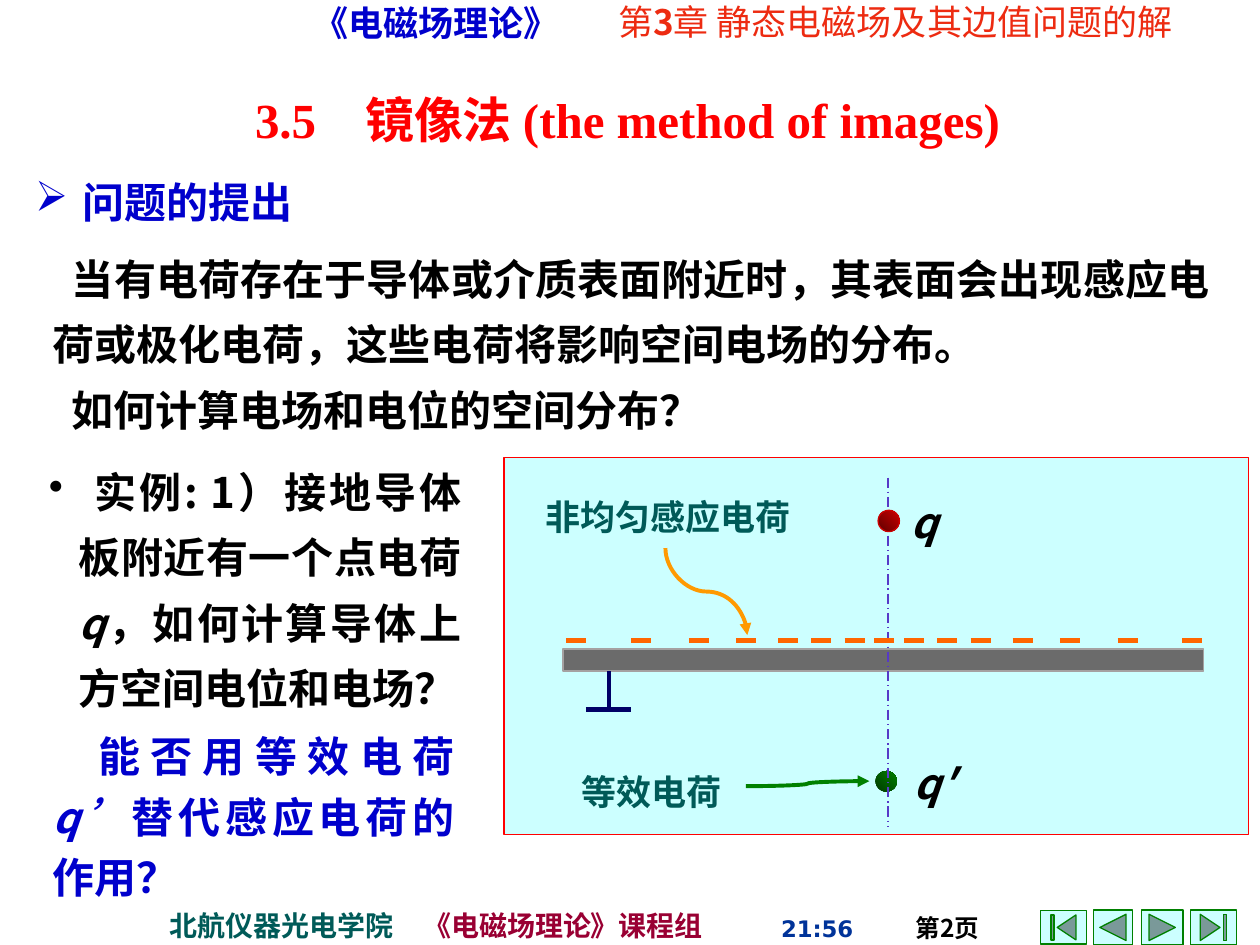
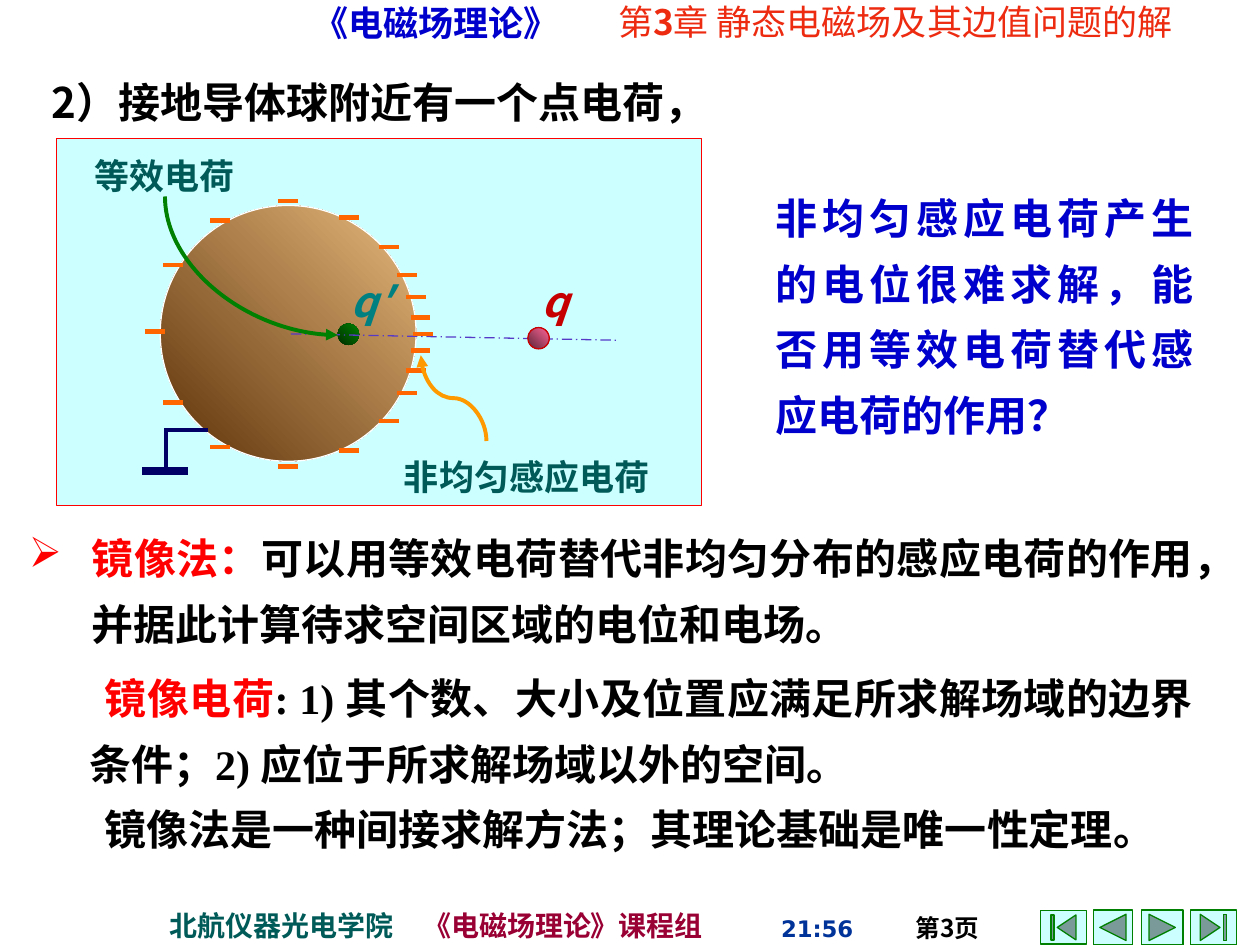
import pptx
import pptx.dml.color
import pptx.enum.dml
import pptx.enum.shapes
import pptx.enum.text
import pptx.oxml.ns
import pptx.util
from lxml import etree

Pt = pptx.util.Pt
Shape = pptx.enum.shapes.MSO_SHAPE
Connector = pptx.enum.shapes.MSO_CONNECTOR
Align = pptx.enum.text.PP_ALIGN
qn = pptx.oxml.ns.qn
rgb = pptx.dml.color.RGBColor.from_string


class Theme:
    black, red, blue, teal = "000000", "FF0000", "0000CC", "005A58"
    chapter, clock, team = "ED2B11", "003399", "990033"
    panel, green, charge, ground = "CCFFFF", "008000", "FF6600", "000066"
    orange, axis, plate, plate_edge = "FF9900", "5739C7", "6B6B6B", "A5A1A1"
    dark_red, white, image_label, charge_label = "CC0000", "FFFFFF", "008080", "C60000"
    sans, serif, header, digits = "Noto Sans CJK SC", "Times New Roman", "Arial", "DejaVu Sans"
    title, body, label, footer, page, time = 28, 24, 20, 16, 14, 13


def add_text(slide, box, paragraphs, size=Theme.body, color=Theme.black, font=Theme.sans,
             align=Align.JUSTIFY, spacing=1.3, margin_top=3.6, left=0, first=0, bullet=None):
    """Each paragraph is a list of (text, changes), where changes override the run format."""
    frame = slide.shapes.add_textbox(*map(Pt, box)).text_frame
    frame.word_wrap = True
    frame.margin_top = Pt(margin_top)
    for number, runs in enumerate(paragraphs):
        paragraph = frame.add_paragraph() if number else frame.paragraphs[0]
        paragraph.alignment = align
        paragraph.line_spacing = spacing
        properties = paragraph._p.get_or_add_pPr()
        properties.set("marL", str(Pt(left)))
        properties.set("indent", str(Pt(first)))
        if bullet:
            etree.SubElement(properties, qn("a:buChar")).set("char", bullet)
        for text, changes in runs:
            run = paragraph.add_run()
            run.text = text
            run.font.size = Pt(size)
            run.font.bold = changes.get("bold", True)
            run.font.italic = changes.get("italic", False)
            run.font.color.rgb = rgb(changes.get("color", color))
            run.font.name = font
            east_asian = etree.SubElement(run._r.get_or_add_rPr(), qn("a:ea"))
            east_asian.set("typeface", Theme.sans)


def add_shape(slide, kind, box, fill, line=None):
    """A pair of colours as fill gives a gradient rising to the upper right."""
    shape = slide.shapes.add_shape(kind, *map(Pt, box))
    shape.shadow.inherit = False
    if isinstance(fill, tuple):
        shape.fill.gradient()
        shape.fill.gradient_angle = 45
        for stop, color in zip(shape.fill.gradient_stops, fill):
            stop.color.rgb = rgb(color)
    else:
        shape.fill.solid()
        shape.fill.fore_color.rgb = rgb(fill)
    if line:
        shape.line.color.rgb = rgb(line)
        shape.line.width = Pt(0.75)
    else:
        shape.line.fill.background()


presentation = pptx.Presentation()
presentation.slide_width, presentation.slide_height = Pt(720), Pt(540)
blank = presentation.slide_layouts[6]
plane_slide, sphere_slide = slides = [presentation.slides.add_slide(blank) for _ in range(2)]

# Header, footer and navigation buttons
buttons = [
    (Shape.ACTION_BUTTON_BEGINNING, (594.7, 520.5, 26, 19)),
    (Shape.ACTION_BUTTON_BACK_OR_PREVIOUS, (625, 520, 22, 20)),
    (Shape.ACTION_BUTTON_FORWARD_OR_NEXT, (652.3, 520, 23.7, 20)),
    (Shape.ACTION_BUTTON_END, (680.4, 520, 26, 20)),
]
for page_number, slide in enumerate(slides, start=2):
    for kind, box in buttons:
        add_shape(slide, kind, box, Theme.panel, Theme.green)
    add_text(slide, (172, 0, 169, 28), [[("《电磁场理论》", {})]], Theme.label, Theme.blue,
             Theme.header, Align.LEFT, 1, margin_top=0.7)
    add_text(slide, (333.4, 5, 356.4, 22.3),
             [[("第", {"bold": False}), ("3", {}), ("章 静态电磁场及其边值问题的解", {"bold": False})]],
             Theme.label, Theme.chapter, align=Align.CENTER, spacing=0.6)
    add_text(slide, (90, 518.4, 145, 21), [[("北航仪器光电学院", {})]], Theme.footer, Theme.teal,
             Theme.header, Align.LEFT, 1, margin_top=0.7)
    add_text(slide, (235, 518.4, 185, 21), [[("《电磁场理论》课程组", {})]], Theme.footer, Theme.team,
             Theme.header, Align.LEFT, 1, margin_top=0.7)
    add_text(slide, (439.2, 519, 62, 23), [[("21:56", {})]], Theme.time, Theme.clock,
             Theme.digits, Align.LEFT, 1)
    add_text(slide, (505.4, 518.4, 61.2, 23.8), [[(f"第{page_number}页", {})]], Theme.page,
             align=Align.RIGHT, spacing=1)

# Panels, conductors and image charges
add_shape(plane_slide, Shape.RECTANGLE, (288, 261.4, 425.5, 215.3), Theme.panel, Theme.red)
add_shape(plane_slide, Shape.RECTANGLE, (321.8, 370.8, 365.8, 12.6), Theme.plate, Theme.plate_edge)
add_shape(plane_slide, Shape.OVAL, (500.4, 440.6, 12.2, 11.8), ("003B00", Theme.green))
add_shape(sphere_slide, Shape.RECTANGLE, (32.4, 79.2, 368.6, 209.5), Theme.panel, Theme.red)
add_shape(sphere_slide, Shape.OVAL, (91.6, 117.4, 146.2, 146.2), ("5E3108", "E5B97C"), Theme.white)
add_shape(sphere_slide, Shape.OVAL, (193, 185, 12.2, 12.2), ("002E00", Theme.green))

# Straight lines: slide, start, end, colour, width
lines = [
    (plane_slide, (347.8, 383.4), (347.8, 405.4), Theme.ground, 2.25),
    (plane_slide, (334.8, 405.4), (360.7, 405.4), Theme.ground, 3),
    (plane_slide, (507.4, 272.9), (507.4, 472.3), Theme.axis, 0.75),
    (sphere_slide, (118.8, 245.5), (93.6, 245.5), Theme.ground, 2.25),
    (sphere_slide, (95, 244.8), (95, 270), Theme.ground, 2.25),
    (sphere_slide, (81.4, 269.3), (107.3, 269.3), Theme.ground, 4.5),
    (sphere_slide, (166.3, 190.8), (352, 194.4), Theme.axis, 0.75),
]

# Induced charges, mirrored about the axis of each problem
mark_length = 11.4
plane_axis, plane_y, sphere_axis = 499.7, 366, 190.8
plane_offsets = [17, 36, 55, 79, 106, 139, 176]
marks = [(plane_slide, plane_axis + side * offset, plane_y)
         for side in (-1, 1) for offset in plane_offsets]
marks.append((plane_slide, plane_axis, plane_y))
sphere_offsets = [(234.6, 9.4), (232.2, 20.9), (226.8, 33.8), (216.7, 49.7),
                  (194, 66.6), (158.8, 75.8), (120.2, 64.8), (93.2, 39.3)]
marks += [(sphere_slide, x, sphere_axis + side * offset)
          for side in (-1, 1) for x, offset in sphere_offsets]
marks += [(sphere_slide, 236.2, sphere_axis), (sphere_slide, 82.8, 189.4)]
lines += [(slide, (x, y), (x + mark_length, y), Theme.charge, 2.5) for slide, x, y in marks]

connectors = []
for slide, start, end, color, width in lines:
    connector = slide.shapes.add_connector(Connector.STRAIGHT, *map(Pt, start + end))
    if color == Theme.axis:
        connector.line.dash_style = pptx.enum.dml.MSO_LINE.LONG_DASH_DOT
    connectors.append((connector, color, width))

# Curved arrows; a quarter turn makes a curve leave its start vertically
curves = [
    (plane_slide, (380.2, 313.2), (427, 362.9), Theme.orange, -1, "curvedConnector3"),
    (plane_slide, (426.2, 449.3), (496.8, 446.4), Theme.green, 0, "curvedConnector3"),
    (sphere_slide, (278, 252), (240.5, 203), Theme.orange, 1, "curvedConnector3"),
    (sphere_slide, (94.3, 112.3), (193, 191.5), Theme.green, -1, "curvedConnector2"),
]
for slide, (x1, y1), (x2, y2), color, turn, geometry in curves:
    if turn:
        middle_x, middle_y = (x1 + x2) / 2, (y1 + y2) / 2
        half_x, half_y = turn * (y1 - y2) / 2, turn * (x2 - x1) / 2
        x1, y1 = middle_x + half_x, middle_y + half_y
        x2, y2 = middle_x - half_x, middle_y - half_y
    connector = slide.shapes.add_connector(Connector.CURVE, *map(Pt, (x1, y1, x2, y2)))
    properties = connector._element.spPr
    properties.find(qn("a:xfrm")).set("rot", str(turn * 90 % 360 * 60000))
    properties.find(qn("a:prstGeom")).set("prst", geometry)
    connectors.append((connector, color, 2.25))

for connector, color, width in connectors:
    connector.line.color.rgb = rgb(color)
    connector.line.width = Pt(width)
    properties = connector._element.spPr
    if connector._element.spPr.find(qn("a:prstGeom")).get("prst").startswith("curved"):
        etree.SubElement(properties.find(qn("a:ln")), qn("a:tailEnd")).set("type", "triangle")
    etree.SubElement(properties, qn("a:effectLst"))

# Source charges and figure labels
add_shape(plane_slide, Shape.OVAL, (501.8, 291.6, 12.2, 12.2), ("5E0000", Theme.dark_red), Theme.dark_red)
add_shape(sphere_slide, Shape.OVAL, (301.7, 187.2, 12.2, 12.2), ("5C2537", "FF6699"), Theme.dark_red)

charge_names = [
    (plane_slide, "q", (513.4, 271.4), Theme.black),
    (plane_slide, "q′", (514.8, 420.5), Theme.black),
    (sphere_slide, "q", (302.4, 145.4), Theme.charge_label),
    (sphere_slide, "q′", (193, 145.4), Theme.image_label),
]
for slide, name, position, color in charge_names:
    add_text(slide, position + (51, 44.6), [[(name, {"italic": True})]], color=color, align=Align.LEFT)

figure_labels = [
    (plane_slide, "非均匀感应电荷", (288.7, 272.2, 185.8, 38.2)),
    (plane_slide, "等效电荷", (314.6, 429.8, 115.2, 38.2)),
    (sphere_slide, "非均匀感应电荷", (216, 249.8, 170, 34.6)),
    (sphere_slide, "等效电荷", (36.7, 77.8, 115.2, 34.6)),
]
for slide, label, box in figure_labels:
    add_text(slide, box, [[(label, {})]], Theme.label, Theme.teal, align=Align.CENTER)

# Text of the conducting plane slide
add_text(plane_slide, (116.6, 37.4, 484, 51), [[("3.5　镜像法 (the method of images)", {})]],
         Theme.title, Theme.red, Theme.serif, Align.CENTER)
add_text(plane_slide, (13, 88.6, 216, 39.6), [[("问题的提出", {})]], color=Theme.blue,
         align=Align.LEFT, left=27, first=-27, bullet="➢")
add_text(plane_slide, (23, 132.5, 675.4, 121),
         [[("当有电荷存在于导体或介质表面附近时，其表面会出现感应电荷或极化电荷，"
            "这些电荷将影响空间电场的分布。", {})],
          [("如何计算电场和电位的空间分布？", {})]], first=11)
add_text(plane_slide, (20.9, 254.2, 249.8, 158.4),
         [[(" 实例: 1）接地导体板附近有一个点电荷", {}), ("q", {"italic": True}),
           ("，如何计算导体上方空间电位和电场？", {})]], left=17, first=-17, bullet="•")
add_text(plane_slide, (23, 408.2, 244, 72.7),
         [[("能否用等效电荷", {}), ("q’", {"italic": True}), ("替代感应电荷的作用？", {})]],
         color=Theme.blue, spacing=1.2, first=26)

# Text of the conducting sphere slide
add_text(sphere_slide, (22.3, 31.7, 556.6, 44.6), [[("2）接地导体球附近有一个点电荷，", {})]])
add_text(sphere_slide, (436.3, 97.9, 252.7, 158.4),
         [[("非均匀感应电荷产生的电位很难求解，能否用等效电荷替代感应电荷的作用？", {})]],
         color=Theme.blue)
add_text(sphere_slide, (9.4, 292.3, 679.7, 79.2),
         [[("镜像法：", {"color": Theme.red}),
           ("可以用等效电荷替代非均匀分布的感应电荷的作用，并据此计算待求空间区域的电位和电场。", {})]],
         font=Theme.serif, left=36, first=-36, bullet="➢")
add_text(sphere_slide, (43.9, 372.2, 645, 121),
         [[("镜像电荷", {"color": Theme.red}),
           (": 1) 其个数、大小及位置应满足所求解场域的边界条件；2) 应位于所求解场域以外的空间。", {})],
          [("镜像法是一种间接求解方法；其理论基础是唯一性定理。", {})]],
         font=Theme.serif, first=9)

presentation.save("out.pptx")
